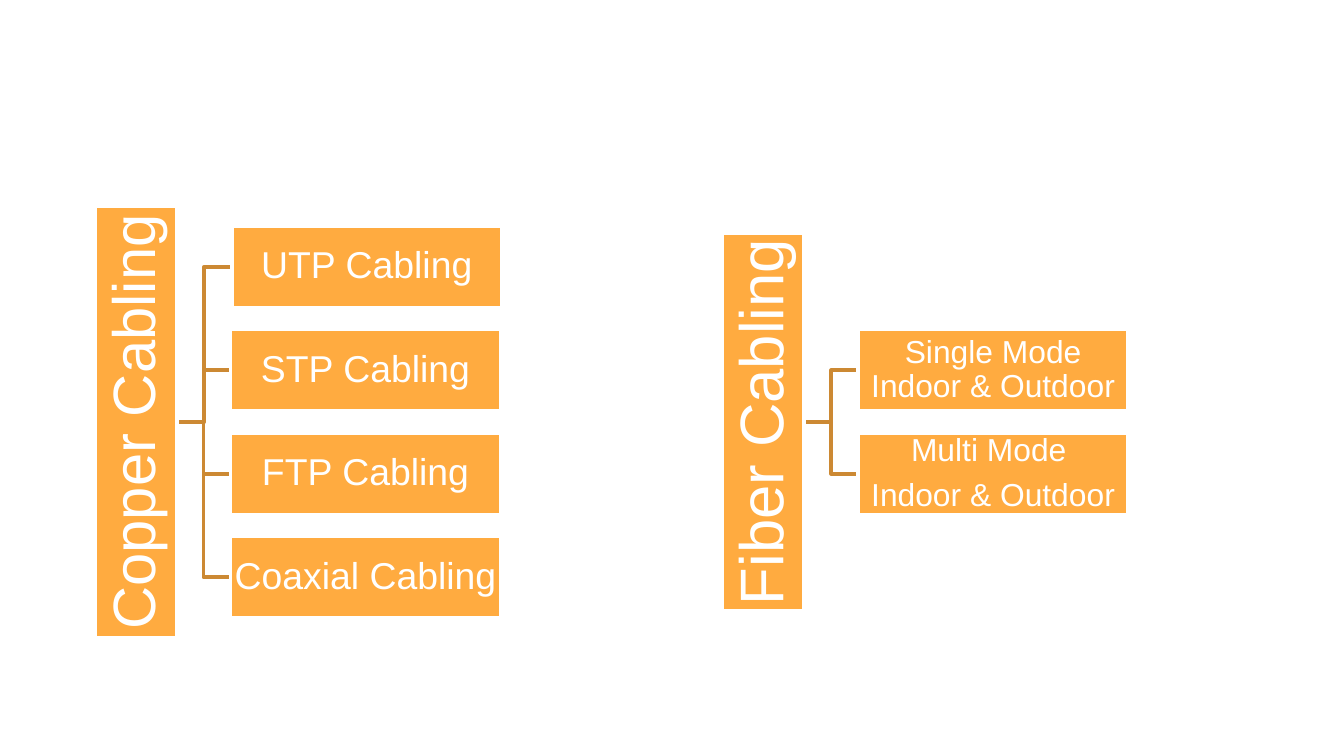
from pptx import Presentation
from pptx.dml.color import RGBColor
from pptx.enum.shapes import MSO_SHAPE
from pptx.enum.text import MSO_ANCHOR, PP_ALIGN
from pptx.util import Inches, Pt

RECTANGLE = MSO_SHAPE.RECTANGLE
MIDDLE = MSO_ANCHOR.MIDDLE
CENTER = PP_ALIGN.CENTER

ORANGE, BROWN, WHITE = "FFAB40", "CC8933", "FFFFFF"
BOX_WIDTH, BOX_HEIGHT = 2.01, 0.61
ROW_PITCH = 0.77
MIDDLE_Y = 3.14
BRANCH_GAP = 0.4

# Root label, length, centre x, root size, child size, children (lines, nudge right)
TREES = [
    ("Copper Cabling", 3.22, 1.01, 32, 20, [
        (["UTP Cabling"], 0.01),
        (["STP Cabling"], 0),
        (["FTP Cabling"], 0),
        (["Coaxial Cabling"], 0),
    ]),
    ("Fiber Cabling", 2.81, 5.68, 33, 17, [
        (["Single Mode Indoor & Outdoor"], 0),
        (["Multi Mode ", "Indoor & Outdoor"], 0),
    ]),
]


def color(hex_string):
    return RGBColor.from_string(hex_string)


def add_box(left, center_y, width, lines, size, inset):
    shape = slide.shapes.add_shape(
        RECTANGLE, Inches(left), Inches(center_y - BOX_HEIGHT / 2),
        Inches(width), Inches(BOX_HEIGHT))
    shape.shadow.inherit = False
    shape.fill.solid()
    shape.fill.fore_color.rgb = color(ORANGE)
    shape.line.color.rgb = color(WHITE)
    shape.line.width = Pt(2)
    frame = shape.text_frame
    frame.word_wrap = True
    frame.vertical_anchor = MIDDLE
    frame.margin_left = frame.margin_right = Inches(inset)
    frame.margin_top = frame.margin_bottom = Inches(inset)
    for index, line in enumerate(lines):
        paragraph = frame.add_paragraph() if index else frame.paragraphs[0]
        paragraph.alignment = CENTER
        paragraph.line_spacing = 0.9
        paragraph.space_after = Pt(round(size * 0.35))
        run = paragraph.add_run()
        run.text = line
        run.font.name = "Arial"
        run.font.size = Pt(size)
        run.font.color.rgb = color(WHITE)
    return shape


presentation = Presentation()
presentation.slide_width = Inches(10)
presentation.slide_height = Inches(10) * 9 // 16
slide = presentation.slides.add_slide(presentation.slide_layouts[6])

for label, length, center_x, root_size, child_size, children in TREES:
    branch_left = center_x + BOX_HEIGHT / 2
    first_y = MIDDLE_Y - ROW_PITCH * (len(children) - 1) / 2
    rows = [(first_y + index * ROW_PITCH, branch_left + BRANCH_GAP + nudge, lines)
            for index, (lines, nudge) in enumerate(children)]

    for row_y, child_left, lines in reversed(rows):
        elbow_x = (branch_left + child_left) / 2
        builder = slide.shapes.build_freeform(Inches(branch_left), Inches(MIDDLE_Y))
        builder.add_line_segments(
            [(Inches(elbow_x), Inches(MIDDLE_Y)),
             (Inches(elbow_x), Inches(row_y)),
             (Inches(child_left), Inches(row_y))], close=False)
        branch = builder.convert_to_shape()
        branch.shadow.inherit = False
        branch.fill.background()
        branch.line.color.rgb = color(BROWN)
        branch.line.width = Pt(2)

    root = add_box(center_x - length / 2, MIDDLE_Y, length, [label], root_size, 0.02)
    root.rotation = 270
    for row_y, child_left, lines in rows:
        add_box(child_left, row_y, BOX_WIDTH, lines, child_size, 0.01)

presentation.save("out.pptx")
